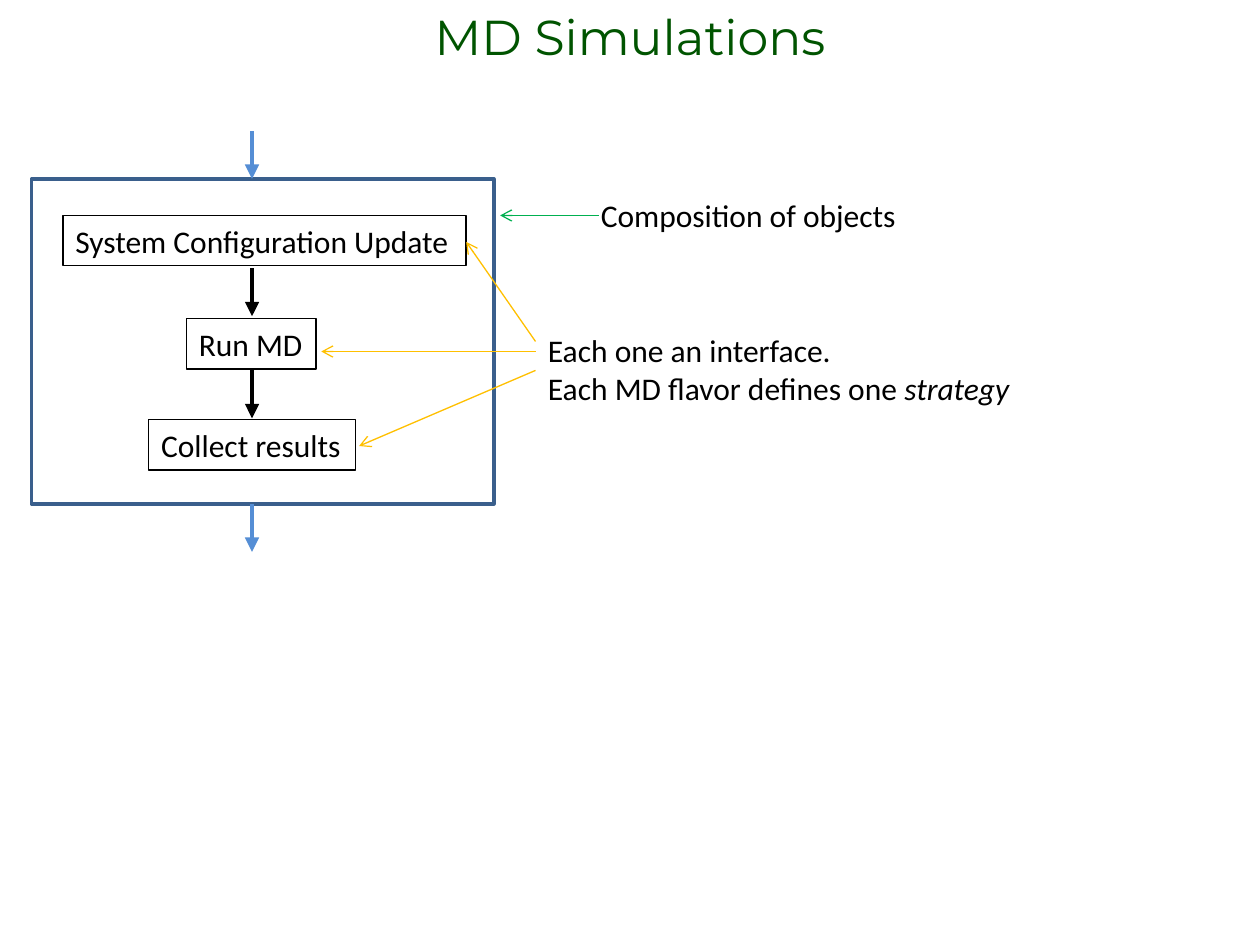
import lxml.etree
import pptx
import pptx.dml.color
import pptx.enum.shapes
import pptx.enum.text
import pptx.oxml.ns
import pptx.util

RGB = pptx.dml.color.RGBColor
BLACK = RGB(0x00, 0x00, 0x00)
TITLE_GREEN = RGB(0x00, 0x54, 0x00)
FRAME_BLUE = RGB(0x3A, 0x5F, 0x8C)
FLOW_BLUE = RGB(0x55, 0x8E, 0xD5)
AMBER = RGB(0xFF, 0xC0, 0x00)
GREEN = RGB(0x00, 0xB0, 0x50)
RECT = pptx.enum.shapes.MSO_SHAPE.RECTANGLE
STRAIGHT = pptx.enum.shapes.MSO_CONNECTOR.STRAIGHT
MIDDLE = pptx.enum.text.MSO_ANCHOR.MIDDLE
CENTER = pptx.enum.text.PP_ALIGN.CENTER

prs = pptx.Presentation()
prs.slide_width = pptx.util.Inches(10)
prs.slide_height = pptx.util.Inches(7.5)
U = prs.slide_width // 100  # square grid: 100 columns by 75 rows
s = prs.slides.add_slide(prs.slide_layouts[5])


def write(p, text, size=18, font="Calibri", color=BLACK, italic=False):
    r = p.add_run()
    r.text = text
    r.font.size = pptx.util.Pt(size)
    r.font.name = font
    r.font.color.rgb = color
    r.font.italic = italic


def arrow(x1, y1, x2, y2, color, width=0.75, head="arrow"):
    """Draw a line between grid points with its arrowhead at the second."""
    c = s.shapes.add_connector(STRAIGHT, *(int(v * U) for v in (x1, y1, x2, y2)))
    c.line.color.rgb = color
    c.line.width = pptx.util.Pt(width)
    qn = pptx.oxml.ns.qn
    sppr = c._element.spPr
    lxml.etree.SubElement(sppr.find(qn("a:ln")), qn("a:tailEnd"), type=head)
    lxml.etree.SubElement(sppr, qn("a:effectLst"))


# Title
title = s.shapes.title
title.left, title.top = 0, 0
title.width, title.height = prs.slide_width, int(5.7 * U)
title.text_frame.vertical_anchor = MIDDLE
p = title.text_frame.paragraphs[0]
p.alignment = CENTER
write(p, "MD Simulations", size=28, font="Montserrat", color=TITLE_GREEN)

# Frame, and the steps centred on one axis
axis, box_height = 20, 4
frame_left, frame_top, frame_width, frame_height = 2.5, 14.2, 36.7, 25.8
frame_bottom = frame_top + frame_height
frame = s.shapes.add_shape(RECT, *(int(v * U) for v in (
    frame_left, frame_top, frame_width, frame_height)))
frame.shadow.inherit = False
frame.fill.background()
frame.line.color.rgb = FRAME_BLUE
frame.line.width = pptx.util.Pt(2)

# text, left, top, width
steps = [
    ("System Configuration Update", 5, 17.1, 32),
    ("Run MD", 14.8, 25.3, 10.3),
    ("Collect results", 11.8, 33.3, 16.4),
]
for text, left, top, width in steps:
    sp = s.shapes.add_textbox(*(int(v * U) for v in (left, top, width, box_height)))
    sp.line.color.rgb = BLACK
    sp.line.width = pptx.util.Pt(0.75)
    sp.text_frame.word_wrap = False
    write(sp.text_frame.paragraphs[0], text)

# Flow down the axis: in, between steps, out
flow_length = 3.8
for top, color in [(frame_top - flow_length, FLOW_BLUE), (21.3, BLACK),
                   (29.4, BLACK), (frame_bottom, FLOW_BLUE)]:
    arrow(axis, top, axis, top + flow_length, color, width=2.75, head="triangle")

# Notes, each line a list of (text, italic) runs
notes = [
    (42.5, 25.8, 39.1, 7.1, [
        [("Each one an interface.", False)],
        [("Each MD flavor defines one ", False), ("strategy", True)],
    ]),
    (46.7, 15.1, 25.7, 4, [[("Composition of objects", False)]]),
]
for left, top, width, height, lines in notes:
    sp = s.shapes.add_textbox(*(int(v * U) for v in (left, top, width, height)))
    tf = sp.text_frame
    tf.word_wrap = False
    for i, runs in enumerate(lines):
        p = tf.add_paragraph() if i else tf.paragraphs[0]
        for text, italic in runs:
            write(p, text, italic=italic)

# Pointers from the notes
for y, x_end, y_end in [(27.1, 37, 19.2), (27.9, 25.5, 27.9), (29.4, 28.5, 35.4)]:
    arrow(42.5, y, x_end, y_end, AMBER)
arrow(47.5, 17.1, 39.7, 17.1, GREEN)

prs.save("out.pptx")
